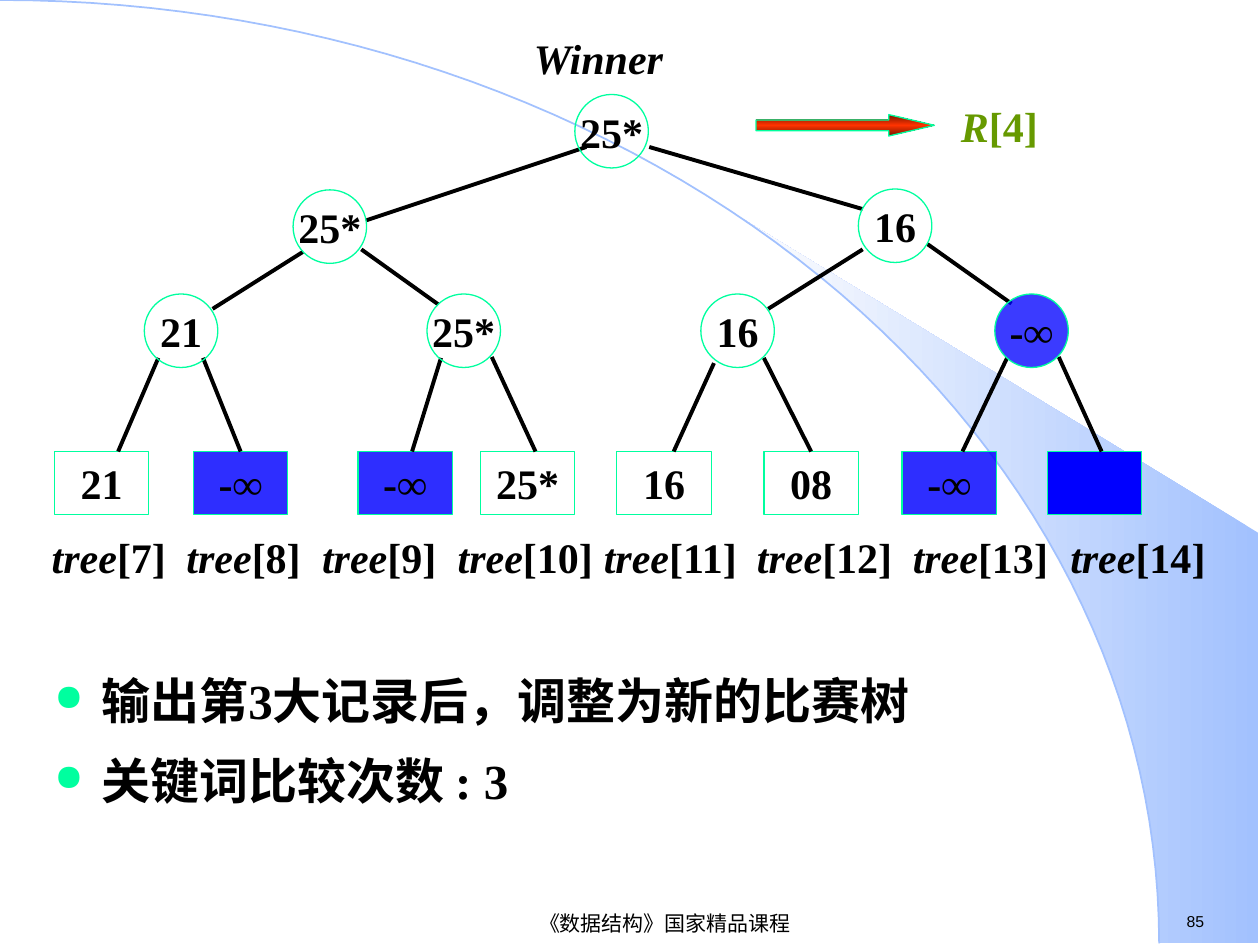
from dataclasses import dataclass
from copy import deepcopy
from math import asin, cos, pi, sin

from lxml.etree import SubElement
from pptx import Presentation
from pptx.dml.color import RGBColor
from pptx.enum.shapes import MSO_CONNECTOR, MSO_SHAPE
from pptx.enum.text import MSO_ANCHOR, MSO_AUTO_SIZE, PP_ALIGN
from pptx.oxml.ns import qn
from pptx.util import Pt


@dataclass(frozen=True)
class Theme:
    ink: str = "000000"
    outline: str = "00FF9F"
    changed: str = "0000FF"
    result: str = "669900"
    sky: str = "A2C1FE"
    pale: str = "FEFEFE"
    ember: str = "751700"
    flame: str = "FF3300"
    serif: str = "Times New Roman"
    sans: str = "Arial"
    tree_size: float = 24
    body_size: float = 28
    footer_size: float = 12
    number_size: float = 9


THEME = Theme()
WIDTH, HEIGHT = 720, 540
NODE_SIZE = 42
LEAF_WIDTH, LEAF_HEIGHT, LEAF_TOP = 54, 36, 258
ARC_WIDTH, ARC_HEIGHT = 662.4, 539
WEDGE_LEFT, WEDGE_RIGHT, WEDGE_TOP = 424, 719, 304.5

# label, left, top, fill opacity in percent (0 is no fill)
NODES = [
    ("25*", 328.5, 54, 0),
    ("25*", 167.5, 108.5, 0), ("16", 490.5, 108, 0),
    ("21", 82.5, 168, 0), ("25*", 244, 168, 0),
    ("16", 400.5, 168, 0), ("-∞", 568.5, 168, 77),
]
# label, left, fill opacity, edge start x, edge start y, edge foot x
LEAVES = [
    ("21", 31, 0, 90.5, 204.5, 67.5), ("-∞", 110.5, 82, 116, 204.5, 139),
    ("-∞", 204.5, 82, 252, 204.5, 235.5), ("25*", 274.5, 0, 281, 204, 306),
    ("16", 352.5, 0, 408, 207.5, 385), ("08", 436.5, 0, 436.5, 204.5, 462),
    ("-∞", 515.5, 82, 575.5, 204.5, 550), ("", 598.5, 100, 605, 204, 629.5),
]
BRANCHES = [
    (371, 84, 493, 119.5), (209, 126, 335, 84), (493, 142.5, 439, 176.5),
    (206.5, 142.5, 250.5, 174), (530, 139.5, 578, 173.5), (173, 144, 121.5, 176.5),
]
INDEX_TABS = [77, 154.5, 232, 315.5, 403, 492, 582]


def color(code):
    return RGBColor.from_string(code)


def style(span, size, font=THEME.serif, ink=THEME.ink, bold=True, italic=False):
    span.font.size, span.font.name = Pt(size), font
    span.font.color.rgb = color(ink)
    span.font.bold, span.font.italic = bold, italic


def add_box(page, left, top, width, height, wrap=False):
    box = page.shapes.add_textbox(Pt(left), Pt(top), Pt(width), Pt(height))
    box.text_frame.word_wrap = wrap
    box.text_frame.auto_size = MSO_AUTO_SIZE.NONE
    return box


def add_spans(para, spans, ink=THEME.ink):
    """Add (text, italic) pairs as runs of the tree's type."""
    for text, italic in spans:
        span = para.add_run()
        span.text = text
        style(span, THEME.tree_size, ink=ink, italic=italic)


def paint_gradient(shape, stops, angle):
    shape.fill.gradient()
    shape.fill.gradient_angle = angle
    stop_list = shape._element.spPr.find(".//" + qn("a:gsLst"))
    while len(stop_list) < len(stops):
        stop_list.append(deepcopy(stop_list[0]))
    for stop, (position, code) in zip(shape.fill.gradient_stops, stops):
        stop.position, stop.color.rgb = position, color(code)


def paint_solid(shape, code, opacity):
    shape.fill.solid()
    shape.fill.fore_color.rgb = color(code)
    if opacity < 100:
        fill_color = shape._element.spPr.find(".//" + qn("a:srgbClr"))
        SubElement(fill_color, qn("a:alpha")).set("val", str(opacity * 1000))


def outline(shape, code=THEME.outline, width=0.75):
    shape.shadow.inherit = False
    shape.line.color.rgb = color(code)
    shape.line.width = Pt(width)


def add_cell(page, kind, label, left, top, width, height, opacity):
    """Add a tree node or leaf with its key centred inside."""
    cell = page.shapes.add_shape(kind, Pt(left), Pt(top), Pt(width), Pt(height))
    if opacity:
        paint_solid(cell, THEME.changed, opacity)
    else:
        cell.fill.background()
    outline(cell)
    if label:
        frame = cell.text_frame
        frame.text = label
        frame.word_wrap, frame.vertical_anchor = False, MSO_ANCHOR.MIDDLE
        frame.paragraphs[0].alignment = PP_ALIGN.CENTER
        style(frame.paragraphs[0].runs[0], THEME.tree_size)
    return cell


def add_edge(page, *ends):
    edge = page.shapes.add_connector(MSO_CONNECTOR.STRAIGHT, *map(Pt, ends))
    edge.line.color.rgb = color(THEME.ink)
    edge.line.width = Pt(2.25)
    SubElement(edge._element.spPr, qn("a:effectLst"))
    return edge


def arc_points(start_x, steps=60):
    """Points of the quarter ellipse from start_x to the bottom of the page."""
    first = asin(start_x / ARC_WIDTH)
    angles = [first + (pi / 2 - first) * step / steps for step in range(steps + 1)]
    return [(ARC_WIDTH * sin(angle), ARC_HEIGHT * (1 - cos(angle))) for angle in angles]


def add_outline(page, points, close):
    points = [(Pt(x), Pt(y)) for x, y in points]
    builder = page.shapes.build_freeform(*points[0])
    builder.add_line_segments(points[1:], close=close)
    shape = builder.convert_to_shape()
    shape.shadow.inherit = False
    return shape


def add_backdrop(page):
    corners = [(WEDGE_RIGHT, ARC_HEIGHT), (WEDGE_RIGHT, WEDGE_TOP)]
    wedge = add_outline(page, arc_points(WEDGE_LEFT) + corners, True)
    paint_gradient(wedge, [(0, THEME.sky), (1, THEME.pale)], 180)
    wedge.line.fill.background()
    arc = add_outline(page, arc_points(0), False)
    arc.fill.background()
    outline(arc, THEME.sky, 1)


def add_footer(page):
    number = add_box(page, 671, 517.5, 48, 18)
    number.text_frame.text = "85"
    style(number.text_frame.paragraphs[0].runs[0], THEME.number_size, THEME.sans, bold=False)
    course = add_box(page, 173, 519, 414, 17.5)
    course.text_frame.text = "《数据结构》国家精品课程"
    course.text_frame.vertical_anchor = MSO_ANCHOR.MIDDLE
    para = course.text_frame.paragraphs[0]
    para.alignment = PP_ALIGN.CENTER
    style(para.runs[0], THEME.footer_size, THEME.sans, bold=False)


def add_bullets(page, lines):
    frame = add_box(page, 24, 368, 673, 106.5, wrap=True).text_frame
    frame.text = "\n".join(lines)
    for para in frame.paragraphs:
        para.alignment, para.line_spacing = PP_ALIGN.JUSTIFY, 1.35
        properties = para._p.get_or_add_pPr()
        properties.set("marL", str(Pt(27)))
        properties.set("indent", str(-Pt(27)))
        bullet_color = SubElement(properties, qn("a:buClr"))
        SubElement(bullet_color, qn("a:srgbClr")).set("val", THEME.outline)
        SubElement(properties, qn("a:buSzPct")).set("val", "75000")
        SubElement(properties, qn("a:buChar")).set("char", "●")
        style(para.runs[0], THEME.body_size)


def add_tree(page):
    for label, left, opacity, start_x, start_y, foot_x in LEAVES:
        leaf = add_cell(page, MSO_SHAPE.RECTANGLE, label, left, LEAF_TOP,
                        LEAF_WIDTH, LEAF_HEIGHT, opacity)
        edge = add_edge(page, start_x, start_y, foot_x, LEAF_TOP)
        if abs(foot_x - left - LEAF_WIDTH / 2) < 2:
            edge.end_connect(leaf, 0)
    for ends in BRANCHES:
        add_edge(page, *ends)
    for label, left, top, opacity in NODES:
        add_cell(page, MSO_SHAPE.OVAL, label, left, top, NODE_SIZE, NODE_SIZE, opacity)


def add_index_row(page):
    """Label the leaves tree[7] to tree[14], one tab stop each."""
    para = add_box(page, 22.5, 300, 678, 36, wrap=True).text_frame.paragraphs[0]
    tabs = SubElement(para._p.get_or_add_pPr(), qn("a:tabLst"))
    for position in INDEX_TABS:
        tab = SubElement(tabs, qn("a:tab"))
        tab.set("pos", str(Pt(position)))
        tab.set("algn", "l")
    for index in range(7, 15):
        gap = "\t" if index < 14 else ""
        add_spans(para, [("tree", True), (f"[{index}]{gap}", False)])


def add_result(page):
    winner = add_box(page, 298, 15, 95, 36)
    add_spans(winner.text_frame.paragraphs[0], [("Winner", True)])
    arrow = page.shapes.add_shape(MSO_SHAPE.RIGHT_ARROW, Pt(432), Pt(65.5), Pt(102), Pt(12.25))
    arrow.adjustments[1] = 2.13
    paint_gradient(arrow, [(0, THEME.ember), (0.5, THEME.flame), (1, THEME.ember)], 90)
    outline(arrow)
    record = add_box(page, 542, 54, 58.5, 36)
    add_spans(record.text_frame.paragraphs[0], [("R", True), ("[4]", False)], THEME.result)


def main():
    deck = Presentation()
    deck.slide_width, deck.slide_height = Pt(WIDTH), Pt(HEIGHT)
    page = deck.slides.add_slide(deck.slide_layouts[6])
    add_backdrop(page)
    add_footer(page)
    add_bullets(page, ["输出第3大记录后，调整为新的比赛树", "关键词比较次数 : 3"])
    add_tree(page)
    add_index_row(page)
    add_result(page)
    deck.save("out.pptx")


if __name__ == "__main__":
    main()
